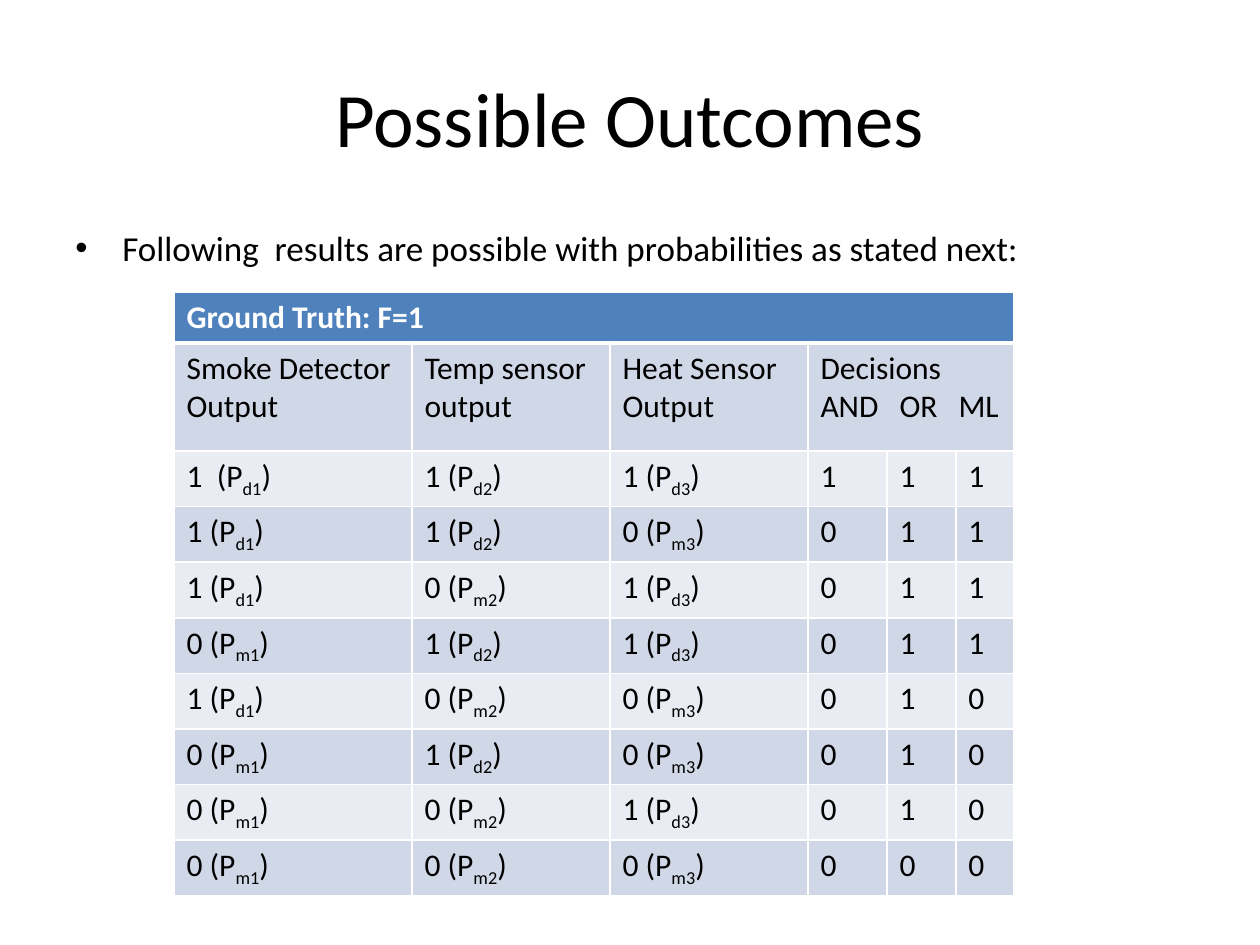
from itertools import product

from lxml import etree
from pptx import Presentation
from pptx import util as u
from pptx.dml.color import RGBColor
from pptx.enum import text
from pptx.oxml import ns

FONT = "Calibri"
COLORS = {
    "black": "000000",
    "white": "FFFFFF",
    "header": "4F81BD",
    "dark_band": "D0D8E7",
    "light_band": "E9ECF3",
}
COLUMNS = [238, 198, 198, 79, 69, 58]
TITLE_ROW, LABEL_ROW, DATA_ROWS = 51, 108, 443
THIN, THICK = 0.96, 3


def px(n):
    return u.Emu(n * 914400 // 126)


def rgb(name):
    return RGBColor.from_string(COLORS[name])


def add_run(p, words, size, color="black", bold=False, subscript=False):
    r = p.add_run()
    r.text = words
    r.font.name, r.font.size, r.font.bold = FONT, u.Pt(size), bold
    r.font.color.rgb = rgb(color)
    if subscript:
        r._r.get_or_add_rPr().set("baseline", "-25000")


def add_text(slide, left, top, width, height, anchor):
    tf = slide.shapes.add_textbox(px(left), px(top), px(width), px(height)).text_frame
    tf.word_wrap = True
    tf.vertical_anchor = anchor
    return tf.paragraphs[0]


def add_bullet(p, indent):
    pPr = p._p.get_or_add_pPr()
    pPr.set("marL", str(px(indent)))
    pPr.set("indent", str(-px(indent)))
    etree.SubElement(pPr, ns.qn("a:buFont"), typeface="Arial")
    etree.SubElement(pPr, ns.qn("a:buChar"), char="•")


def add_tabs(p, stops):
    tabs = etree.SubElement(p._p.get_or_add_pPr(), ns.qn("a:tabLst"))
    for stop in stops:
        etree.SubElement(tabs, ns.qn("a:tab"), pos=str(px(stop)), algn="l")


def style_cell(cell, fill, top=THIN, bottom=THIN):
    tcPr = cell._tc.get_or_add_tcPr()
    for side, width in zip("LRTB", (THIN, THIN, top, bottom)):
        ln = etree.SubElement(tcPr, ns.qn("a:ln" + side), w=str(u.Pt(width)))
        solid = etree.SubElement(ln, ns.qn("a:solidFill"))
        etree.SubElement(solid, ns.qn("a:srgbClr"), val=COLORS["white"])
    cell.fill.solid()
    cell.fill.fore_color.rgb = rgb(fill)


def add_reading(p, detected, sensor, gap=" "):
    add_run(p, f"{detected}{gap}(P", 18)
    add_run(p, f"{'d' if detected else 'm'}{sensor}", 18, subscript=True)
    add_run(p, ")", 18)


def fill_headings(table):
    table.cell(0, 0).merge(table.cell(0, 5))
    table.cell(1, 3).merge(table.cell(1, 5))
    add_run(table.cell(0, 0).text_frame.paragraphs[0], "Ground Truth: F=1", 18, "white", True)
    labels = ["Smoke Detector Output", "Temp sensor output", "Heat Sensor Output", "Decisions"]
    for col, label in enumerate(labels):
        add_run(table.cell(1, col).text_frame.paragraphs[0], label, 18)
    rules = table.cell(1, 3).text_frame.add_paragraph()
    add_tabs(rules, [79, 138])
    add_run(rules, "AND\tOR\tML", 18)


def fill_outcomes(table):
    # All sensor readings, most detections first
    outcomes = sorted(product((1, 0), repeat=3), key=sum, reverse=True)
    for row, readings in enumerate(outcomes, 2):
        for col, detected in enumerate(readings):
            gap = "  " if (row, col) == (2, 0) else " "
            add_reading(table.cell(row, col).text_frame.paragraphs[0], detected, col + 1, gap)
        # AND, OR and majority decisions
        decisions = (all(readings), any(readings), sum(readings) >= 2)
        for col, decision in enumerate(decisions, 3):
            add_run(table.cell(row, col).text_frame.paragraphs[0], str(int(decision)), 18)


def add_outcome_table(slide, left, top):
    height = TITLE_ROW + LABEL_ROW + DATA_ROWS
    table = slide.shapes.add_table(
        10, len(COLUMNS), px(left), px(top), px(sum(COLUMNS)), px(height)).table
    for column, width in zip(table.columns, COLUMNS):
        column.width = px(width)
    heights = [px(TITLE_ROW), px(LABEL_ROW)] + [px(DATA_ROWS) // 8] * 8
    for i, (row, row_height) in enumerate(zip(table.rows, heights)):
        row.height = row_height
        fill = "header" if i == 0 else "dark_band" if i % 2 else "light_band"
        for cell in row.cells:
            style_cell(cell, fill, THICK if i == 1 else THIN, THICK if i == 0 else THIN)
    fill_headings(table)
    fill_outcomes(table)


def main():
    prs = Presentation()
    prs.slide_width, prs.slide_height = px(1260), px(945)
    slide = prs.slides.add_slide(prs.slide_layouts[6])

    # Title
    p = add_text(slide, 63, 38, 1134, 157, text.MSO_ANCHOR.MIDDLE)
    p.alignment = text.PP_ALIGN.CENTER
    add_run(p, "Possible Outcomes", 44)

    # Introduction
    p = add_text(slide, 63, 220, 1134, 624, text.MSO_ANCHOR.TOP)
    p.space_before = u.Pt(4)
    add_bullet(p, 47)
    add_run(p, "Following  results are possible with probabilities as stated next:", 20)

    # Outcomes
    add_outcome_table(slide, 174, 292)
    prs.save("out.pptx")


if __name__ == "__main__":
    main()
